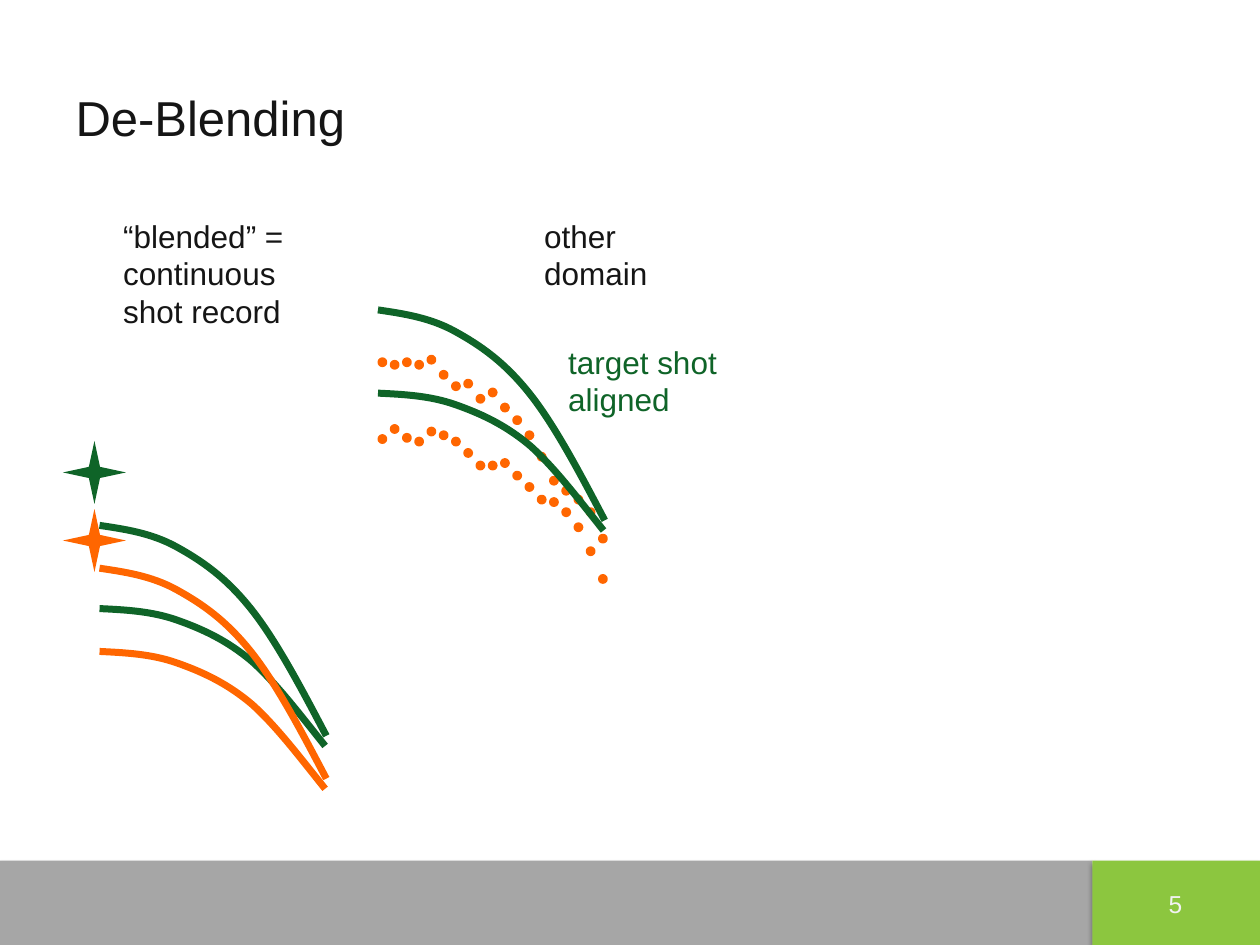
from lxml import etree
from pptx import Presentation
from pptx.dml.color import RGBColor
from pptx.enum.shapes import MSO_SHAPE as Shape
from pptx.enum.text import MSO_ANCHOR as Anchor, PP_ALIGN as Align
from pptx.oxml.ns import qn
from pptx.util import Inches, Pt

GREEN, ORANGE, INK = "0F6428", "FF6600", "151515"


def paint(shape, fill=None, line=None, width=0):
    shape.shadow.inherit = False
    if fill:
        shape.fill.solid()
        shape.fill.fore_color.rgb = RGBColor.from_string(fill)
    else:
        shape.fill.background()
    if line:
        shape.line.color.rgb = RGBColor.from_string(line)
        shape.line.width = Pt(width)
    else:
        shape.line.fill.background()


def write(frame, paragraphs, size, color, align=Align.LEFT):
    for index, lines in enumerate(paragraphs):
        paragraph = frame.add_paragraph() if index else frame.paragraphs[0]
        paragraph.alignment = align
        for number, line in enumerate(lines.split("\n")):
            if number:
                paragraph.add_line_break()
            run = paragraph.add_run()
            run.text = line
            run.font.name = "Arial"
            run.font.size = Pt(size)
            run.font.color.rgb = RGBColor.from_string(color)


presentation = Presentation()
presentation.slide_width, presentation.slide_height = Inches(10), Inches(7.5)
slide = presentation.slides.add_slide(presentation.slide_layouts[5])

# Footer bar and page number block, with a soft shadow below
for left, width, color in [(0, 8.67, "A6A6A6"), (8.67, 1.33, "8CC63F")]:
    bar = slide.shapes.add_shape(Shape.RECTANGLE, Inches(left), Inches(6.83),
                                 Inches(width), Inches(0.67))
    paint(bar, color)
    effects = bar._element.spPr.find(qn("a:effectLst"))
    shadow = etree.SubElement(effects, qn("a:outerShdw"), blurRad=str(Pt(3.1)),
                              dist=str(Pt(1.8)), dir="5400000", rotWithShape="0")
    shade = etree.SubElement(shadow, qn("a:srgbClr"), val="000000")
    etree.SubElement(shade, qn("a:alpha"), val="35000")

page_number = slide.shapes.add_textbox(Inches(9.06), Inches(7.01), Inches(0.54), Inches(0.33))
page_number.text_frame.word_wrap = True
write(page_number.text_frame, ["5"], 14, "F2F2F2", Align.CENTER)

# Title
title = slide.shapes.title
title.left, title.top, title.width, title.height = map(Inches, (0.5, 0.3, 9, 1.25))
title.text_frame.vertical_anchor = Anchor.MIDDLE
write(title.text_frame, ["De-Blending"], 28, INK)

# Labels: left, top, width, height, right inset, wrap, paragraphs, colour
labels = [
    (0.88, 1.67, 1.47, 1, 0.1, False, ["“blended” =\ncontinuous", "shot record"], INK),
    (4.22, 1.67, 1.65, 0.4, 0.6, True, ["other domain"], INK),
    (4.41, 2.67, 1.38, 0.7, 0.1, False, ["target shot", "aligned"], GREEN),
]
for left, top, width, height, inset, wrap, paragraphs, color in labels:
    label = slide.shapes.add_textbox(Inches(left), Inches(top), Inches(width), Inches(height))
    label.text_frame.word_wrap = wrap
    label.text_frame.margin_right = Inches(inset)
    write(label.text_frame, paragraphs, 18, color)

other_domain = slide.shapes.add_group_shape()
shot_record = slide.shapes.add_group_shape()

# Scattered arrivals of the other shot: tops of evenly spaced dots
DOT, DOT_STEP = 0.05, 1.75 / 18
dot_rows = [
    [2.85, 2.87, 2.85, 2.87, 2.83, 2.95, 3.04, 3.02, 3.14, 3.09,
     3.21, 3.31, 3.43, 3.6, 3.79, 3.87, 3.94, 4.04, 4.25],
    [3.46, 3.38, 3.45, 3.48, 3.4, 3.43, 3.48, 3.57, 3.67, 3.67,
     3.65, 3.75, 3.84, 3.94, 3.96, 4.04, 4.16, 4.35, 4.57],
]
for row in dot_rows:
    for index, top in enumerate(row):
        dot = other_domain.shapes.add_shape(Shape.OVAL, Inches(3.01 + index * DOT_STEP),
                                            Inches(top), Inches(DOT), Inches(DOT))
        paint(dot, ORANGE, ORANGE, 2)

# Reflection curves: chained cubic Bezier points, relative to the start
STEEP = [(0, 0), (0.2, 0.03), (0.41, 0.06), (0.61, 0.17), (0.81, 0.28),
         (1, 0.41), (1.2, 0.66), (1.4, 0.91), (1.6, 1.29), (1.8, 1.67)]
FLAT = [(0, 0), (0.2, 0.01), (0.41, 0.02), (0.61, 0.09), (0.81, 0.16),
        (1.01, 0.25), (1.21, 0.42), (1.4, 0.59), (1.59, 0.84), (1.79, 1.09)]
curves = [
    (other_domain, 3, 2.46, STEEP, GREEN),
    (other_domain, 3, 3.12, FLAT, GREEN),
    (shot_record, 0.79, 4.17, STEEP, GREEN),
    (shot_record, 0.79, 4.83, FLAT, GREEN),
    (shot_record, 0.79, 4.51, STEEP, ORANGE),
    (shot_record, 0.79, 5.17, FLAT, ORANGE),
]
for group, left, top, points, color in curves:
    start, *others = [(Inches(left + x), Inches(top + y)) for x, y in points]
    builder = group.shapes.build_freeform(*start)
    builder.add_line_segments(others, close=False)
    curve = builder.convert_to_shape()
    paint(curve, line=color, width=4)

    # Turn every three line points into one cubic segment
    outline = next(curve._element.iter(qn("a:path")))
    line_points = outline.findall(qn("a:lnTo"))
    for first in range(0, len(line_points), 3):
        cubic = etree.SubElement(outline, qn("a:cubicBezTo"))
        for line_point in line_points[first:first + 3]:
            cubic.append(line_point[0])
            outline.remove(line_point)

# Shot positions
for top, color in [(3.5, GREEN), (4.04, ORANGE)]:
    star = shot_record.shapes.add_shape(Shape.STAR_4_POINT, Inches(0.5), Inches(top),
                                        Inches(0.5), Inches(0.5))
    star.adjustments[0] = 0.125
    paint(star, color)

presentation.save("out.pptx")
